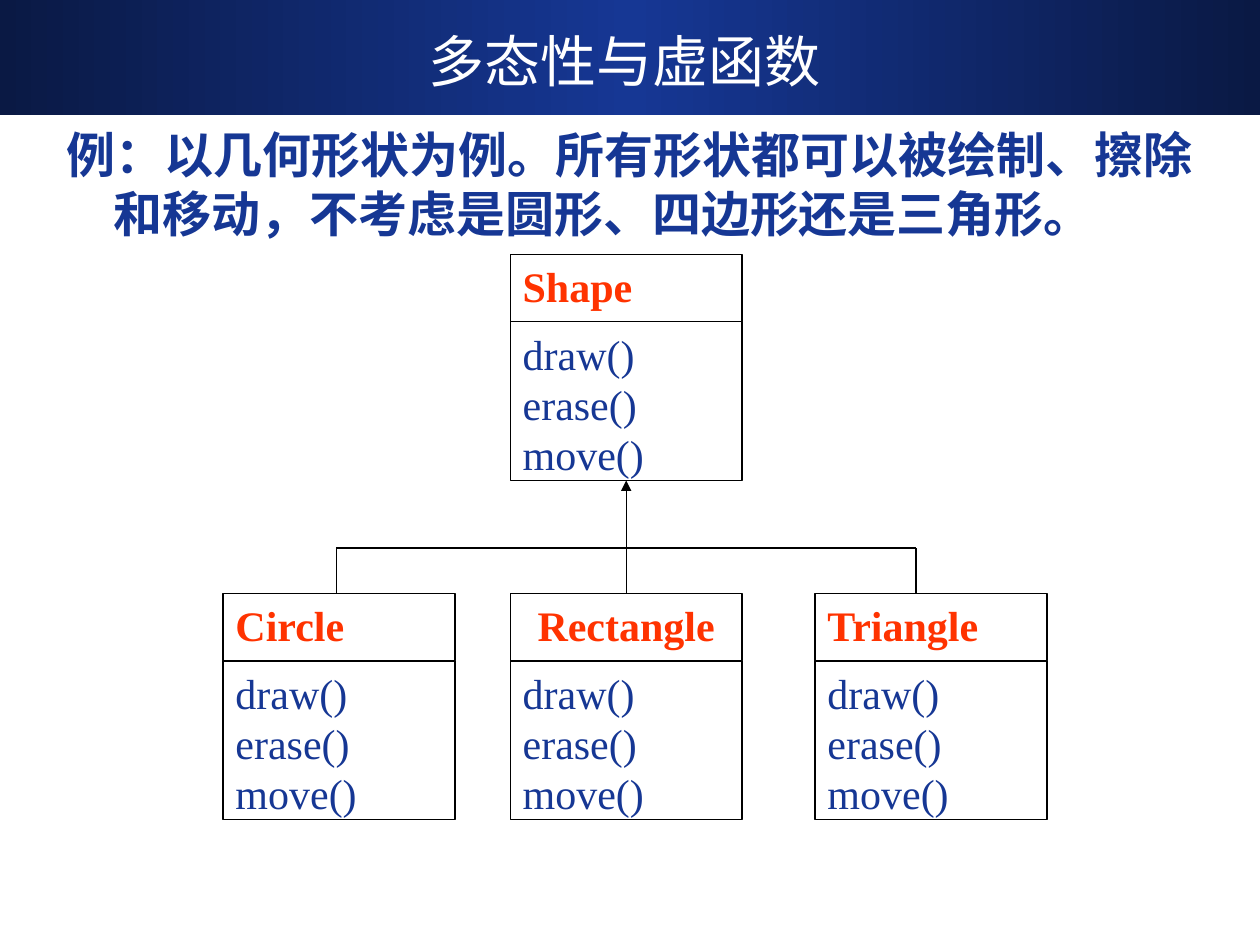
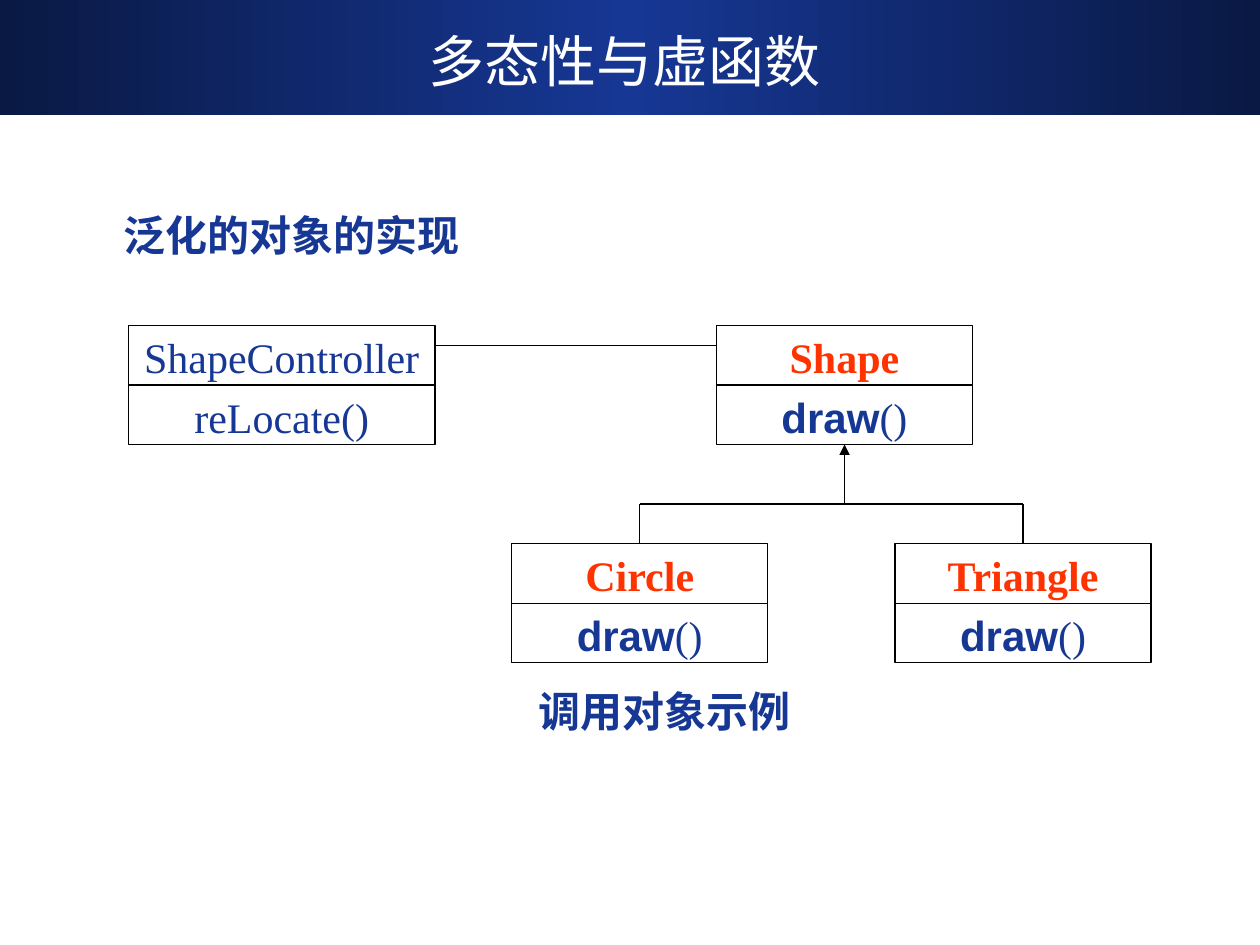
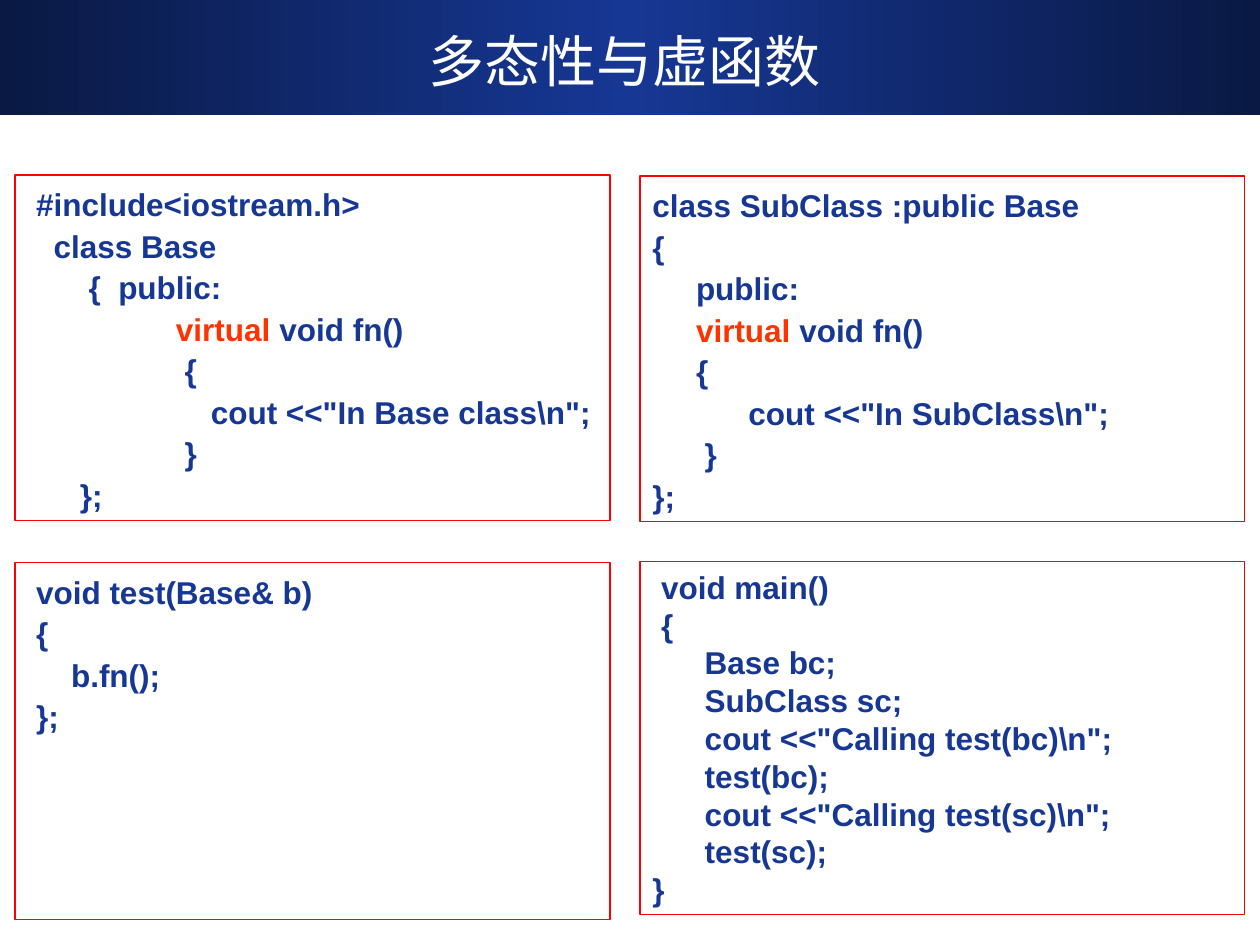
from copy import deepcopy
from dataclasses import dataclass

from lxml.etree import SubElement
from pptx import Presentation
from pptx.dml.color import RGBColor as Rgb
from pptx.enum.shapes import MSO_CONNECTOR as Link, MSO_SHAPE as Shape
from pptx.enum.text import MSO_ANCHOR as Anchor, PP_ALIGN as Align
from pptx.oxml.ns import qn
from pptx.util import Pt


@dataclass(frozen=True)
class Style:
    face: str
    size: int
    color: str
    bold: bool = False


class Theme:
    navy, blue, red = "0A1944", "163794", "FF3300"
    white, black, frame = "FFFFFF", "000000", "FF0000"
    line = 0.75
    single, loose, tight = 1.0, 1.1, 0.9
    title = Style("DejaVu Sans", 32, white)
    lead = Style("Arial", 28, blue, True)
    tail = Style("Arial", 32, blue)
    label = Style("Arial", 24, blue, True)
    name = Style("Times New Roman", 24, red, True)
    plain = Style("Times New Roman", 24, blue)
    code = Style("Arial", 18, blue, True)
    key = Style("Arial", 18, red, True)


TITLE = "多态性与虚函数"
LEAD = [
    ("例：以几何形状为例。所有形状都可以被绘制、擦除和移动，不考虑是圆形、四边形还是三角形。", Theme.lead),
    (" ", Theme.tail),
]
METHODS = ["draw()", "erase()", "move()"]
DRAW = [[("draw", Theme.label), ("()", Theme.plain)]]

# name, left, top, alignment
FAMILY = [
    ("Shape", 291.6, 145.4, Align.LEFT),
    ("Circle", 127.5, 339.2, Align.LEFT),
    ("Rectangle", 291.6, 339.2, Align.CENTER),
    ("Triangle", 465.8, 339.2, Align.LEFT),
]
# name, name style, methods, left, top, width
CALLERS = [
    ("ShapeController", Theme.plain, ["reLocate()"], 73.4, 186, 175.3),
    ("Shape", Theme.name, DRAW, 409.5, 186, 146.2),
    ("Circle", Theme.name, DRAW, 292.5, 310.7, 146.2),
    ("Triangle", Theme.name, DRAW, 511.5, 310.7, 146.2),
]
# text, box, alignment, anchor, wrap
LABELS = [
    ("调用对象示例", (238, 388, 283.7, 36), Align.CENTER, Anchor.MIDDLE, True),
    ("泛化的对象的实现", (63.4, 116, 211.7, 36), Align.LEFT, Anchor.TOP, False),
]

BASE = [
    " #include<iostream.h>",
    "   class Base",
    "       {  public:",
    [("                 virtual", Theme.key), (" void fn()", Theme.code)],
    "                  {",
    '                     cout <<"In Base class\\n";',
    "                  }",
    "      };",
]
SUB = [
    "class SubClass :public Base",
    "{",
    "     public:",
    [("     virtual", Theme.key), (" void fn()", Theme.code)],
    "     {",
    '           cout <<"In SubClass\\n";',
    "      }",
    "};",
]
TEST = [" void test(Base& b)", " {", "     b.fn();", " };"]
MAIN = [
    " void main()",
    " {",
    "      Base bc;",
    "      SubClass sc;",
    '      cout <<"Calling test(bc)\\n";',
    "      test(bc);",
    '      cout <<"Calling test(sc)\\n";',
    "      test(sc);",
    "}",
]
# lines, box, line spacing
PANELS = [
    (BASE, (8.6, 100, 340, 197.3), Theme.loose),
    (SUB, (365.7, 100.6, 345.6, 197.3), Theme.loose),
    (TEST, (8.6, 321.6, 340, 203.8), Theme.loose),
    (MAIN, (365.7, 321, 345.6, 201.6), Theme.single),
]


def pts(vals):
    return [Pt(v) for v in vals]


def set_font(font, style):
    font.name = style.face
    font.size = Pt(style.size)
    font.bold = style.bold
    font.color.rgb = Rgb.from_string(style.color)


def write(shape, lines, style, align=Align.LEFT, space=None,
          anchor=Anchor.TOP, wrap=True):
    """Fill a shape; a line is a string or a list of (text, style) runs."""
    frame = shape.text_frame
    frame.word_wrap = wrap
    frame.vertical_anchor = anchor
    for i, line in enumerate(lines):
        para = frame.add_paragraph() if i else frame.paragraphs[0]
        para.alignment = align
        if space:
            para.line_spacing = space
        set_font(para.font, style)
        if isinstance(line, str):
            para.add_run().text = line
            continue
        for text, own in line:
            run = para.add_run()
            run.text = text
            set_font(run.font, own)


def add_box(slide, box, fill=None, edge=None):
    shape = slide.shapes.add_shape(Shape.RECTANGLE, *pts(box))
    shape.shadow.inherit = False
    if fill:
        shape.fill.solid()
        shape.fill.fore_color.rgb = Rgb.from_string(fill)
    else:
        shape.fill.background()
    if edge:
        shape.line.color.rgb = Rgb.from_string(edge)
        shape.line.width = Pt(Theme.line)
    else:
        shape.line.fill.background()
    return shape


def add_line(slide, x1, y1, x2, y2, arrow=False):
    line = slide.shapes.add_connector(Link.STRAIGHT, *pts((x1, y1, x2, y2)))
    line.line.color.rgb = Rgb.from_string(Theme.black)
    line.line.width = Pt(Theme.line)
    props = line._element.spPr
    if arrow:
        SubElement(props.find(qn("a:ln")), qn("a:tailEnd"), type="triangle")
    SubElement(props, qn("a:effectLst"))


def add_class(slide, name, style, methods, spot, width, highs, align, sub_align):
    """Draw a class as a name box above a method box."""
    x, y = spot
    head, body = highs
    for lines, look, top, high, side in (
        ([name], style, y, head, align),
        (methods, Theme.plain, y + head, body, sub_align),
    ):
        box = add_box(slide, (x, top, width, high), Theme.white, Theme.black)
        write(box, lines, look, side, Theme.single)


def add_tree(slide, stems, mid, top, bar, foot, start):
    """Join child stems by a bar, with an arrow from start up to the parent."""
    add_line(slide, stems[0], bar, stems[-1], bar)
    for x in stems:
        add_line(slide, x, foot, x, bar)
    add_line(slide, mid, start, mid, top, arrow=True)


def add_band(slide):
    """Place the gradient band on the layout that all slides share."""
    band = add_box(slide, (0, 0, 720, 65.5))
    band.fill.gradient()
    band.fill.gradient_angle = 0
    stops = band._element.spPr.find(".//" + qn("a:gsLst"))
    stops.insert(1, deepcopy(stops[0]))
    colors = (Theme.navy, Theme.blue, Theme.navy)
    for stop, place, color in zip(band.fill.gradient_stops, (0, 0.5, 1), colors):
        stop.position = place
        stop.color.rgb = Rgb.from_string(color)
    slide.slide_layout.shapes._spTree.insert(2, band._element)


def new_slide(deck):
    slide = deck.slides.add_slide(deck.slide_layouts[5])
    title = slide.shapes.title
    title.left, title.top, title.width, title.height = pts((23.8, 12.2, 666, 44.6))
    write(title, [TITLE], Theme.title, Align.CENTER, anchor=Anchor.MIDDLE)
    return slide


def family_slide(slide):
    lead = slide.shapes.add_textbox(*pts((31, 71.3, 658, 73.4)))
    props = lead.text_frame.paragraphs[0]._p.get_or_add_pPr()
    props.set("marL", str(Pt(27)))
    props.set("indent", str(-Pt(27)))
    write(lead, [LEAD], Theme.lead, space=Theme.tight)
    for name, x, y, align in FAMILY:
        add_class(slide, name, Theme.name, METHODS, (x, y), 132.5,
                  (38.5, 90.7), align, Align.LEFT)
    add_tree(slide, (192.2, 523.5), 357.85, 274.6, 313.2, 339.2, 339.2)


def caller_slide(slide):
    for name, style, methods, x, y, width in CALLERS:
        add_class(slide, name, style, methods, (x, y), width,
                  (34, 34), Align.CENTER, Align.CENTER)
    add_line(slide, 248.7, 197.3, 409.5, 197.3)
    add_tree(slide, (365.6, 584.6), 482.6, 254, 288, 310.7, 288)
    for text, box, align, anchor, wrap in LABELS:
        label = slide.shapes.add_textbox(*pts(box))
        write(label, [text], Theme.label, align, anchor=anchor, wrap=wrap)


def code_slide(slide):
    for lines, box, space in PANELS:
        panel = add_box(slide, box, edge=Theme.frame)
        write(panel, lines, Theme.code, space=space)


def main():
    deck = Presentation()
    deck.slide_width, deck.slide_height = pts((720, 540))
    for build in (family_slide, caller_slide, code_slide):
        build(new_slide(deck))
    add_band(deck.slides[0])
    deck.save("out.pptx")


if __name__ == "__main__":
    main()
